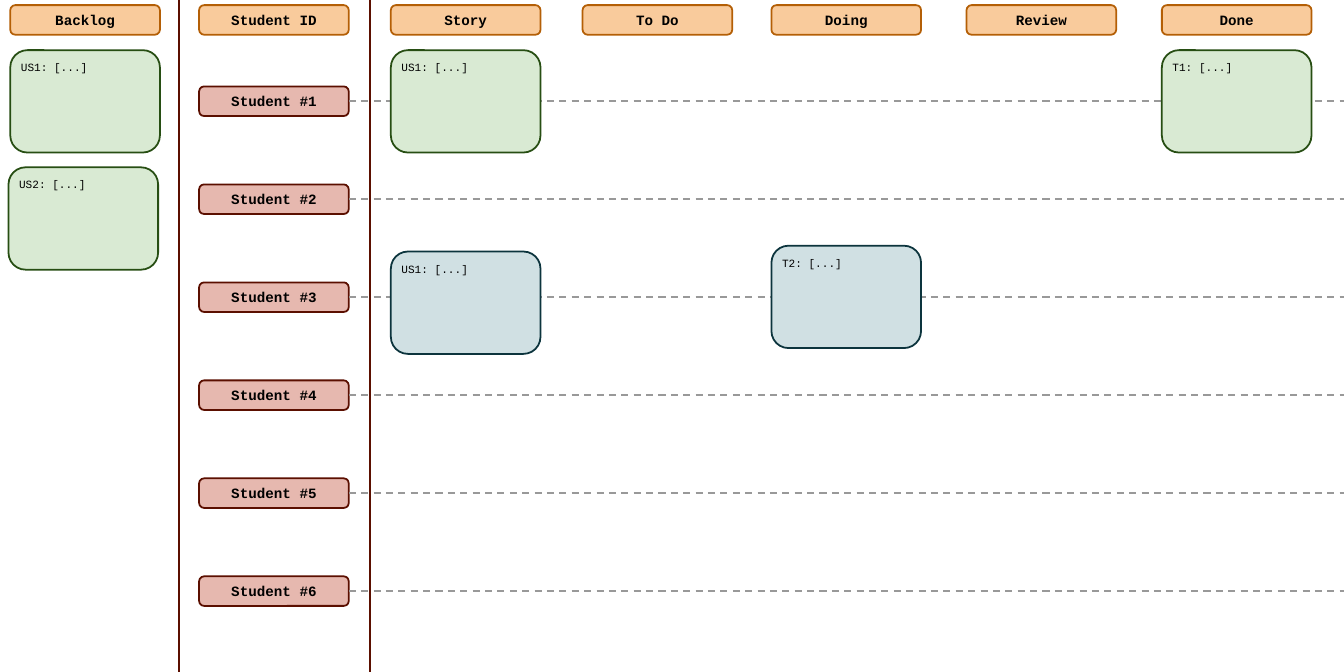
from dataclasses import dataclass
from typing import Any

from lxml import etree
from pptx import Presentation, util as u
from pptx.dml.color import RGBColor
from pptx.enum import dml, shapes, text
from pptx.oxml.ns import qn


@dataclass(frozen=True)
class Style:
    fill: str
    edge: str
    high: float
    size: int
    bold: bool
    anchor: Any
    align: Any


@dataclass(frozen=True)
class Box:
    label: str
    left: float
    top: float
    style: Style


@dataclass(frozen=True)
class Rule:
    start: tuple[float, float]
    end: tuple[float, float]
    color: str
    width: float
    dash: Any


WIDE, HIGH = 60, 30
BOX, TAG, CARD = 6.68, 1.32, 4.57
FONT = "Courier New"
INSET = u.Cm(0.25)
FRAME = {
    "word_wrap": True,
    "margin_left": INSET,
    "margin_right": INSET,
    "margin_top": INSET,
    "margin_bottom": INSET,
}

MIDDLE, TOP = text.MSO_ANCHOR.MIDDLE, text.MSO_ANCHOR.TOP
CENTER, LEFT = text.PP_ALIGN.CENTER, text.PP_ALIGN.LEFT
SOLID, DASH = dml.MSO_LINE.SOLID, dml.MSO_LINE.DASH
WINE = "5B0F00"
HEAD = Style("F9CB9C", "B45F06", TAG, 18, True, MIDDLE, CENTER)
NAME = Style("E6B8AF", WINE, TAG, 18, True, MIDDLE, CENTER)
GREEN = Style("D9EAD3", "274E13", CARD, 14, False, TOP, LEFT)
BLUE = Style("D0E0E3", "0C343D", CARD, 14, False, TOP, LEFT)

COLUMNS = {
    "Backlog": 0.46,
    "Student ID": 8.89,
    "Story": 17.45,
    "To Do": 26.01,
    "Doing": 34.44,
    "Review": 43.15,
    "Done": 51.87,
}
STUDENT = COLUMNS["Student ID"]
ROWS = [3.86 + 4.374 * i for i in range(6)]

HEADS = [Box(label, left, 0.23, HEAD) for label, left in COLUMNS.items()]
NAMES = [Box(f"Student #{i}", STUDENT, top, NAME) for i, top in enumerate(ROWS, 1)]
CARDS = [
    Box("US1: [...]", COLUMNS["Backlog"], 2.24, GREEN),
    Box("US2: [...]", 0.38, 7.47, GREEN),
    Box("US1: [...]", COLUMNS["Story"], 2.24, GREEN),
    Box("T1: [...]", COLUMNS["Done"], 2.24, GREEN),
    Box("US1: [...]", COLUMNS["Story"], 11.23, BLUE),
    Box("T2: [...]", COLUMNS["Doing"], 10.97, BLUE),
]
WALLS = [Rule((x, 0), (x, HIGH), WINE, 3, SOLID) for x in (7.98, 16.51)]
LANES = [
    Rule((STUDENT + BOX, top + TAG / 2), (WIDE, top + TAG / 2), "999999", 2.25, DASH)
    for top in ROWS
]


def paint(fill: Any, color: str) -> None:
    fill.solid()
    fill.fore_color.rgb = RGBColor.from_string(color)


def apply(target: Any, values: dict[str, Any]) -> None:
    for key, value in values.items():
        setattr(target, key, value)


def draw_box(slide: Any, box: Box) -> None:
    style = box.style
    shape = slide.shapes.add_shape(
        shapes.MSO_SHAPE.ROUNDED_RECTANGLE,
        u.Cm(box.left), u.Cm(box.top), u.Cm(BOX), u.Cm(style.high),
    )
    shape.shadow.inherit = False
    paint(shape.fill, style.fill)
    paint(shape.line.fill, style.edge)
    shape.line.width = u.Pt(2.25)
    frame = shape.text_frame
    apply(frame, FRAME | {"vertical_anchor": style.anchor})
    para = frame.paragraphs[0]
    para.alignment = style.align
    run = para.add_run()
    run.text = box.label
    apply(run.font, {"name": FONT, "size": u.Pt(style.size), "bold": style.bold})
    paint(run.font.fill, "000000")


def draw_rule(slide: Any, rule: Rule) -> None:
    ends = [u.Cm(value) for value in rule.start + rule.end]
    line = slide.shapes.add_connector(shapes.MSO_CONNECTOR.STRAIGHT, *ends)
    paint(line.line.fill, rule.color)
    apply(line.line, {"width": u.Pt(rule.width), "dash_style": rule.dash})
    etree.SubElement(line._element.spPr, qn("a:effectLst"))


def main() -> None:
    deck = Presentation()
    apply(deck, {"slide_width": u.Cm(WIDE), "slide_height": u.Cm(HIGH)})
    slide = deck.slides.add_slide(deck.slide_layouts[6])
    for rule in WALLS:
        draw_rule(slide, rule)
    for box in HEADS + NAMES:
        draw_box(slide, box)
    for rule in LANES:
        draw_rule(slide, rule)
    for box in CARDS:
        draw_box(slide, box)
    deck.save("out.pptx")


if __name__ == "__main__":
    main()
